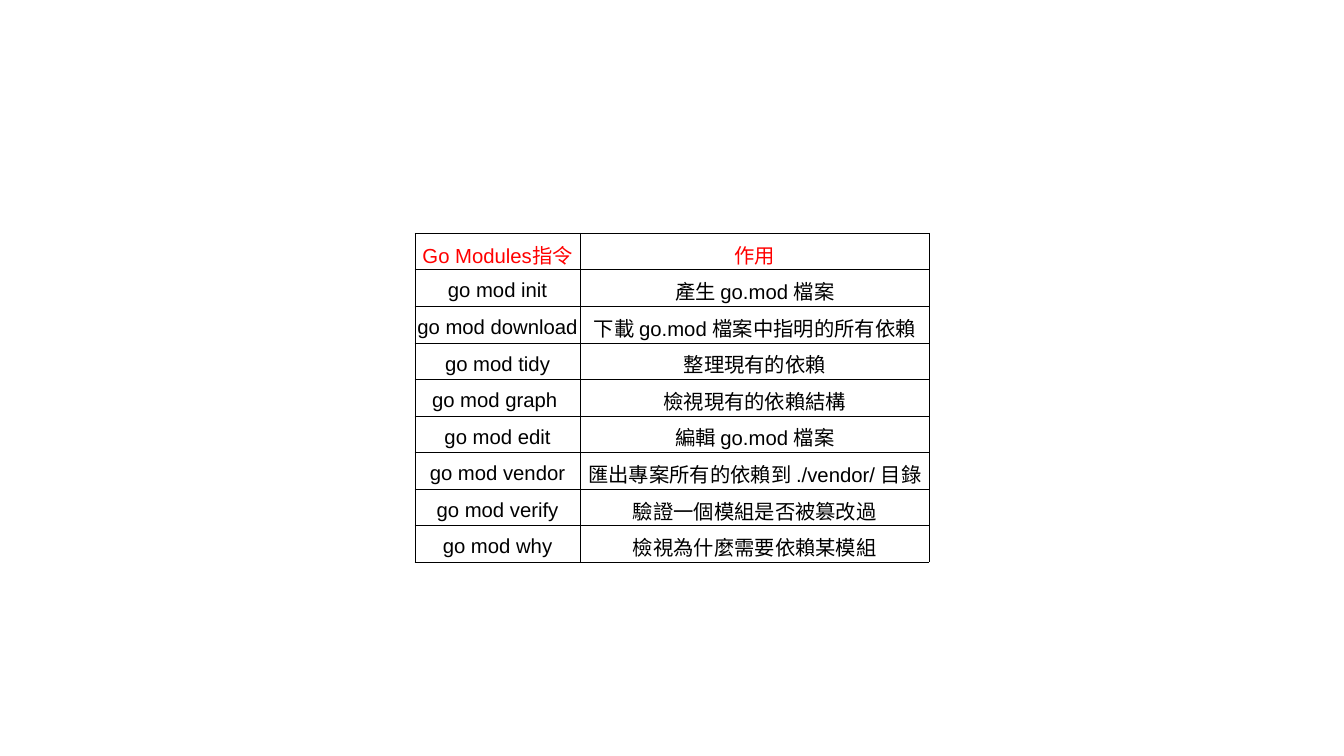
from lxml.etree import SubElement
from pptx import Presentation
from pptx.dml.color import RGBColor
from pptx.enum.text import MSO_ANCHOR, PP_ALIGN
from pptx.oxml.ns import qn
from pptx.util import Inches, Pt

RED = RGBColor(0xFF, 0x00, 0x00)
BLACK = RGBColor(0x00, 0x00, 0x00)
BORDER_WIDTH = Pt(0.06)
ROW_HEIGHT = 0.3
COLUMN_WIDTHS = [1.36, 2.86]

COMMANDS = [
    ("Go Modules指令", "作用"),
    ("go mod init", "產生 go.mod 檔案"),
    ("go mod download", "下載 go.mod 檔案中指明的所有依賴"),
    ("go mod tidy", "整理現有的依賴"),
    ("go mod graph ", "檢視現有的依賴結構"),
    ("go mod edit", "編輯 go.mod 檔案"),
    ("go mod vendor", "匯出專案所有的依賴到 ./vendor/ 目錄"),
    ("go mod verify", "驗證一個模組是否被篡改過"),
    ("go mod why", "檢視為什麼需要依賴某模組"),
]


def add_borders(cell):
    properties = cell._tc.get_or_add_tcPr()
    for position, side in enumerate(("lnL", "lnR", "lnT", "lnB")):
        line = SubElement(properties, qn(f"a:{side}"), w=str(BORDER_WIDTH))
        fill = SubElement(line, qn("a:solidFill"))
        SubElement(fill, qn("a:srgbClr"), val=str(BLACK))
        properties.insert(position, line)


presentation = Presentation()
presentation.slide_width = Inches(11.02)
presentation.slide_height = Inches(6.2)
slide = presentation.slides.add_slide(presentation.slide_layouts[6])

table = slide.shapes.add_table(
    len(COMMANDS), len(COLUMN_WIDTHS), Inches(3.4), Inches(1.91),
    Inches(sum(COLUMN_WIDTHS)), Inches(ROW_HEIGHT * len(COMMANDS)),
).table
table.horz_banding = False
table.first_row = False
for column, width in zip(table.columns, COLUMN_WIDTHS):
    column.width = Inches(width)

for row_index, texts in enumerate(COMMANDS):
    table.rows[row_index].height = Inches(ROW_HEIGHT)
    for column_index, text in enumerate(texts):
        cell = table.cell(row_index, column_index)
        cell.fill.background()
        cell.vertical_anchor = MSO_ANCHOR.MIDDLE
        cell.margin_left = cell.margin_right = Inches(0.02)
        cell.margin_top = Inches(0.05)
        cell.margin_bottom = Inches(0)
        add_borders(cell)
        paragraph = cell.text_frame.paragraphs[0]
        paragraph.alignment = PP_ALIGN.CENTER
        run = paragraph.add_run()
        run.text = text
        run.font.name = "Arial"
        run.font.size = Pt(12)
        run.font.color.rgb = RED if row_index == 0 else BLACK

presentation.save("out.pptx")
